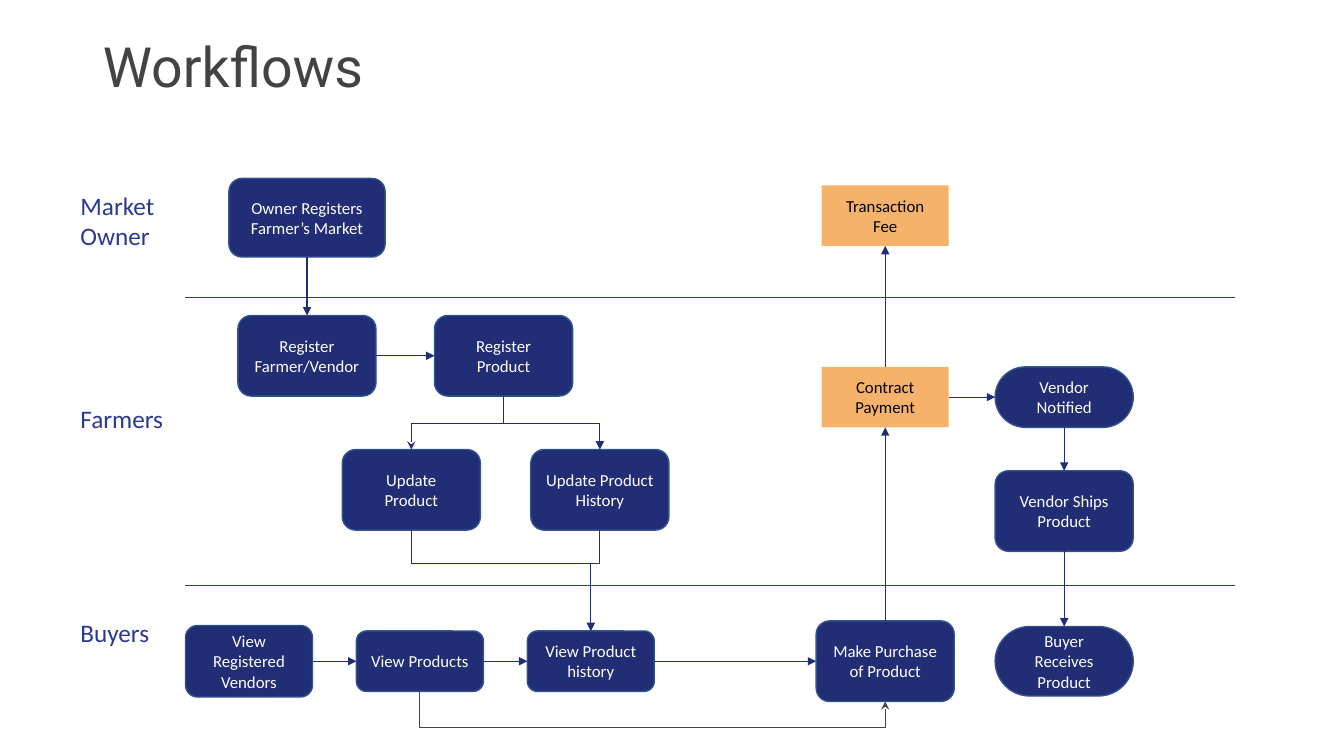
from dataclasses import dataclass

import pptx
import pptx.util
from lxml import etree
from pptx.dml.color import RGBColor
from pptx.enum.shapes import MSO_CONNECTOR, MSO_SHAPE
from pptx.enum.text import MSO_ANCHOR, PP_ALIGN
from pptx.oxml.ns import qn


@dataclass(frozen=True)
class Theme:
    navy: str = "212D74"
    edge: str = "31538F"
    lane: str = "2A3990"
    orange: str = "F6B26B"
    grey: str = "434343"
    white: str = "FFFFFF"
    black: str = "000000"
    title_font: str = "Roboto"
    font: str = "Calibri"
    title_size: float = 39.6
    label_size: float = 18
    node_size: float = 12
    thin: float = 0.75
    outline: float = 1


TOP, LEFT, BOTTOM, RIGHT = range(4)
# Node sizes in grid cells
WIDE, STEP, SMALL, TALL = (15.5, 7.8), (13.7, 8), (12.6, 6), (12.6, 7.1)
PILL, TALL_PILL = (13.7, 6), (13.7, 6.9)


class Board:
    """Draws on one slide; lengths are columns and rows of 0.1 inch."""

    CELL = pptx.util.Inches(0.1)

    def __init__(self, slide, theme):
        self.s, self.t = slide, theme

    def cells(self, *values):
        return [round(v * self.CELL) for v in values]

    def font(self, p, size, color, name=None):
        p.font.name = name or self.t.font
        p.font.size = pptx.util.Pt(size)
        p.font.color.rgb = RGBColor.from_string(color)

    def title(self, text, *box):
        sp = self.s.shapes.title
        sp.left, sp.top, sp.width, sp.height = self.cells(*box)
        tf = sp.text_frame
        tf.text = text
        tf.vertical_anchor = MSO_ANCHOR.MIDDLE
        p = tf.paragraphs[0]
        p.alignment, p.line_spacing = PP_ALIGN.LEFT, 0.9
        self.font(p, self.t.title_size, self.t.grey, self.t.title_font)

    def label(self, text, *box):
        tf = self.s.shapes.add_textbox(*self.cells(*box)).text_frame
        tf.word_wrap = True
        tf.text = text
        self.font(tf.paragraphs[0], self.t.label_size, self.t.lane)

    def node(self, text, col, row, size, kind="step"):
        """Box centred on (col, row)."""
        w, h = size
        preset = MSO_SHAPE.RECTANGLE if kind == "money" else MSO_SHAPE.ROUNDED_RECTANGLE
        sp = self.s.shapes.add_shape(
            preset, *self.cells(col - w / 2, row - h / 2, w, h))
        sp.shadow.inherit = False
        sp.fill.solid()
        if kind == "money":
            fill, ink = self.t.orange, self.t.black
            sp.line.fill.background()
        else:
            fill, ink = self.t.navy, self.t.white
            sp.adjustments[0] = 0.5 if kind == "pill" else 0.167
            sp.line.color.rgb = RGBColor.from_string(self.t.edge)
            sp.line.width = pptx.util.Pt(self.t.outline)
        sp.fill.fore_color.rgb = RGBColor.from_string(fill)
        tf = sp.text_frame
        tf.word_wrap = True
        tf.vertical_anchor = MSO_ANCHOR.MIDDLE
        tf.text = text
        for p in tf.paragraphs:
            p.alignment = PP_ALIGN.CENTER
            self.font(p, self.t.node_size, ink)
        return sp

    def connector(self, kind, ends, color, arrow=None):
        cx = self.s.shapes.add_connector(kind, *ends)
        cx.line.color.rgb = RGBColor.from_string(color)
        cx.line.width = pptx.util.Pt(self.t.thin)
        if arrow:
            etree.SubElement(cx.line._get_or_add_ln(), qn("a:tailEnd"), type=arrow)
        etree.SubElement(cx._element.spPr, qn("a:effectLst"))
        return cx

    def divider(self, row, left, right):
        self.connector(MSO_CONNECTOR.STRAIGHT,
                       self.cells(left, row, right, row), self.t.lane)

    def arrow(self, a, a_side, b, b_side):
        cx = self.connector(MSO_CONNECTOR.STRAIGHT, (0, 0, 0, 0), self.t.navy, "triangle")
        cx.begin_connect(a, a_side)
        cx.end_connect(b, b_side)

    def elbow(self, a, b, b_side, bend, arrow, color=None):
        """From the bottom of a, across at row bend, to the top or bottom of b."""
        x1, y1 = a.left + a.width // 2, a.top + a.height
        x2 = b.left + b.width // 2
        y2 = b.top + (b.height if b_side == BOTTOM else 0)
        w, h = y2 - y1, abs(x2 - x1)
        left, top = (x1 + x2 - w) // 2, (y1 + y2 - h) // 2
        cx = self.connector(MSO_CONNECTOR.ELBOW, (left, top, left + w, top + h),
                            color or self.t.navy, arrow)
        # A quarter turn makes the connector leave downwards
        spPr = cx._element.spPr
        xfrm = spPr.find(qn("a:xfrm"))
        xfrm.set("rot", "16200000" if x2 > x1 else "5400000")
        if x2 > x1:
            xfrm.set("flipH", "1")
        av = spPr.find(qn("a:prstGeom")).find(qn("a:avLst"))
        share = round((bend * self.CELL - y1) / w * 100000)
        etree.SubElement(av, qn("a:gd"), name="adj1", fmla=f"val {share}")


def main():
    prs = pptx.Presentation()
    prs.slide_width, prs.slide_height = pptx.util.Inches(13.33), pptx.util.Inches(7.5)
    theme = Theme()
    b = Board(prs.slides.add_slide(prs.slide_layouts[5]), theme)
    b.title("Workflows", 9.2, 4, 115, 5.7)

    # Lanes
    for text, row, height in (("Market Owner", 18.4, 7.1),
                              ("Farmers", 39.5, 4), ("Buyers", 60.8, 4)):
        b.label(text, 7, row, 11.4, height)
    for row in (29.5, 58.1):
        b.divider(row, 18.4, 122.5)

    # Shared columns and rows
    start, pay, ship = 30.45, 87.8, 105.55
    register, notify, update, buy = 35.3, 39.4, 48.6, 65.6

    # Market owner
    owner = b.node("Owner Registers Farmer’s Market", start, 21.6, WIDE)
    fee = b.node("Transaction\nFee", pay, 21.4, SMALL, "money")

    # Farmers
    farmer = b.node("Register Farmer/Vendor", start, register, STEP)
    product = b.node("Register Product", 49.95, register, STEP)
    changed = b.node("Update\vProduct", 40.8, update, STEP)
    history = b.node("Update Product History", 59.5, update, STEP)
    payment = b.node("Contract Payment", pay, notify, SMALL, "money")
    notified = b.node("Vendor Notified", ship, notify, PILL, "pill")
    ships = b.node("Vendor Ships Product", ship, 50.7, STEP)

    # Buyers
    vendors = b.node("View Registered Vendors", 24.7, buy, TALL)
    products = b.node("View Products", 41.65, buy, SMALL)
    viewed = b.node("View Product history", 58.6, buy, SMALL)
    purchase = b.node("Make Purchase of Product", pay, buy, STEP)
    received = b.node("Buyer Receives Product", ship, buy, TALL_PILL, "pill")

    # Straight arrows
    for a, c in ((farmer, product), (vendors, products), (products, viewed),
                 (viewed, purchase), (payment, notified)):
        b.arrow(a, RIGHT, c, LEFT)
    for a, c in ((owner, farmer), (notified, ships), (ships, received)):
        b.arrow(a, BOTTOM, c, TOP)
    for a, c in ((purchase, payment), (payment, fee)):
        b.arrow(a, TOP, c, BOTTOM)

    # Bent arrows
    b.elbow(product, history, TOP, 42, "triangle")
    b.elbow(product, changed, TOP, 42, "stealth")
    b.elbow(history, viewed, TOP, 55.9, "triangle")
    b.elbow(changed, viewed, TOP, 55.9, "stealth")
    b.elbow(products, purchase, BOTTOM, 72.2, "stealth", theme.grey)

    prs.save("out.pptx")


if __name__ == "__main__":
    main()
